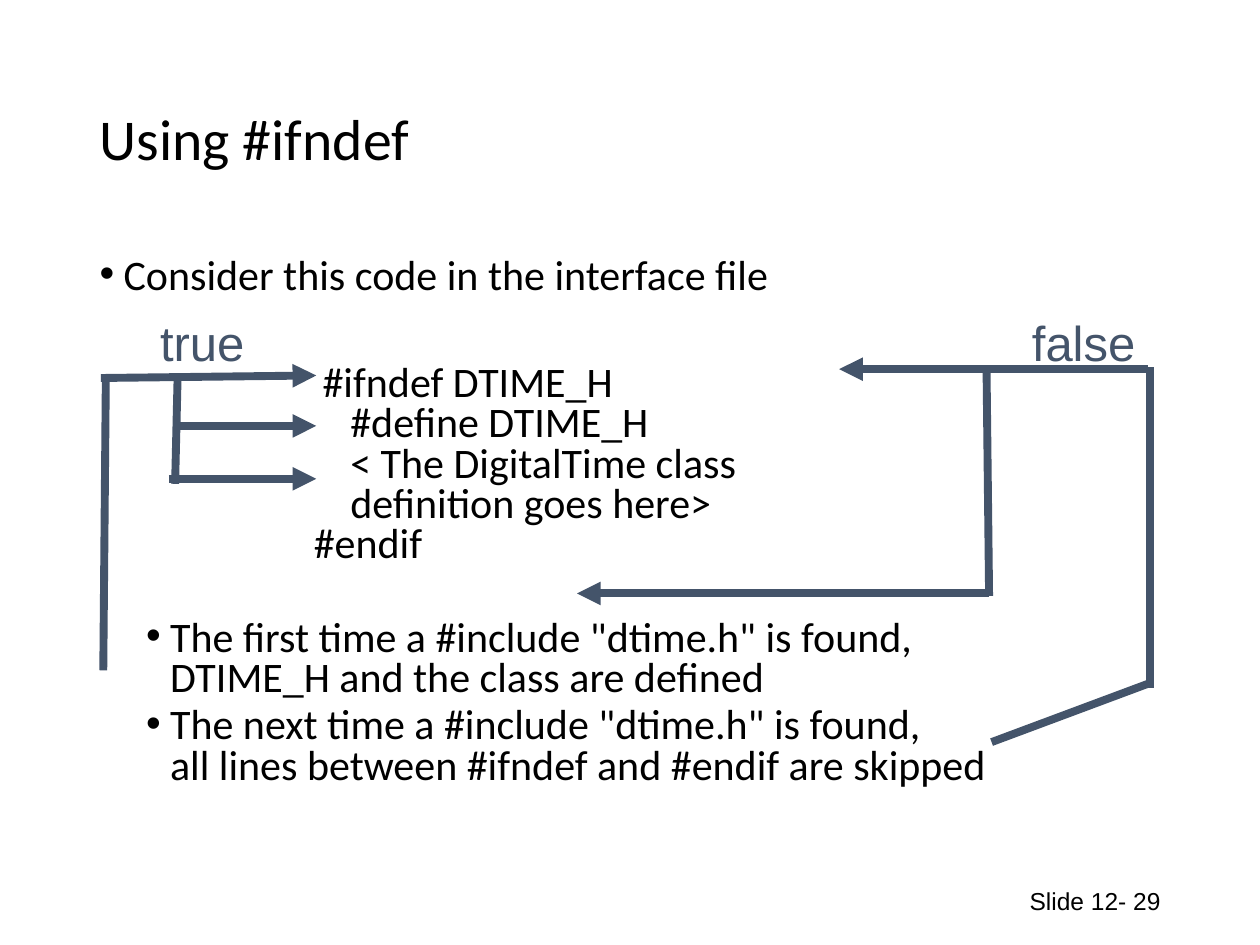
from typing import NamedTuple

from lxml.etree import SubElement
from pptx import Presentation
from pptx.dml.color import RGBColor
from pptx.enum.shapes import MSO_CONNECTOR
from pptx.enum.text import MSO_ANCHOR, MSO_AUTO_SIZE, PP_ALIGN
from pptx.oxml.ns import qn
from pptx.util import Inches, Pt

BLACK = RGBColor(0x00, 0x00, 0x00)
SLATE = RGBColor(0x44, 0x54, 0x6A)


class Box(NamedTuple):
    left: float
    top: float
    width: float
    height: float


class Line(NamedTuple):
    x1: float
    y1: float
    x2: float
    y2: float
    arrow: bool = False


class Item(NamedTuple):
    text: str
    indent: float
    before: float = 0
    bullet: bool = False
    level: int = 0


ITEMS = [
    Item("Consider this code in the interface file", 0.19, 7.5, True),
    Item("#ifndef DTIME_H", 1.77, 38),
    Item("#define DTIME_H", 1.99),
    Item("< The DigitalTime class", 1.99),
    Item("definition goes here>", 1.99),
    Item("#endif", 1.7),
    Item('The first time a #include "dtime.h" is found,\v'
         "DTIME_H and the class are defined", 0.56, 30.5, True, 1),
    Item('The next time a #include "dtime.h" is found,\v'
         "all lines between #ifndef and #endif are skipped", 0.56, 3.8, True, 1),
]
TRUE_LINES = [
    Line(0.82, 5.32, 0.84, 3.02),
    Line(0.8, 3, 2.51, 2.98, True),
    Line(1.41, 2.98, 1.39, 3.84),
    Line(1.39, 3.38, 2.51, 3.38, True),
    Line(1.34, 3.8, 2.51, 3.8, True),
]
FALSE_LINES = [
    Line(7.87, 5.89, 9.13, 5.42),
    Line(9.13, 5.46, 9.13, 2.91),
    Line(9.11, 2.93, 6.66, 2.93, True),
    Line(7.83, 2.95, 7.85, 4.73),
    Line(7.85, 4.71, 4.58, 4.71, True),
]


def place(shape, box: Box) -> None:
    shape.left, shape.top, shape.width, shape.height = map(Inches, box)


def style(para, face: str, size: float, color: RGBColor) -> None:
    for run in para.runs:
        run.font.name = face
        run.font.size = Pt(size)
        run.font.color.rgb = color


def add_item(para, item: Item) -> None:
    para.text = item.text
    para.level = item.level
    para.line_spacing = 0.8
    para.space_before = Pt(item.before)
    style(para, "Calibri", 24, BLACK)
    props = para._p.get_or_add_pPr()
    props.set("marL", str(Inches(item.indent)))
    props.set("indent", str(Inches(-0.19) if item.bullet else 0))
    if item.bullet:
        SubElement(props, qn("a:buFont"), typeface="Arial")
        SubElement(props, qn("a:buChar"), char="•")
    else:
        SubElement(props, qn("a:buNone"))


def add_line(shapes, line: Line) -> None:
    ends = map(Inches, line[:4])
    link = shapes.add_connector(MSO_CONNECTOR.STRAIGHT, *ends)
    link.line.color.rgb = SLATE
    link.line.width = Pt(4.5)
    if line.arrow:
        SubElement(link.line._get_or_add_ln(), qn("a:tailEnd"), type="triangle")
    SubElement(link._element.spPr, qn("a:effectLst"))


def add_label(shapes, text: str, box: Box, size: float, color: RGBColor,
              align: PP_ALIGN, anchor: MSO_ANCHOR, wrap: bool = True) -> None:
    frame = shapes.add_textbox(*map(Inches, box)).text_frame
    frame.word_wrap = wrap
    frame.vertical_anchor = anchor
    frame.text = text
    frame.paragraphs[0].alignment = align
    style(frame.paragraphs[0], "Arial", size, color)


def main() -> None:
    deck = Presentation()
    deck.slide_width, deck.slide_height = Inches(10), Inches(7.5)
    slide = deck.slides.add_slide(deck.slide_layouts[1])
    shapes = slide.shapes

    title = shapes.title
    place(title, Box(0.69, 0.4, 8.62, 1.45))
    title.text_frame.text = "Using #ifndef"
    title.text_frame.vertical_anchor = MSO_ANCHOR.MIDDLE
    title.text_frame.auto_size = MSO_AUTO_SIZE.NONE
    head = title.text_frame.paragraphs[0]
    head.alignment = PP_ALIGN.LEFT
    head.line_spacing = 0.9
    style(head, "Calibri", 33, BLACK)

    body = slide.placeholders[1]
    place(body, Box(0.69, 2, 8.62, 4.76))
    frame = body.text_frame
    frame.auto_size = MSO_AUTO_SIZE.NONE
    for index, item in enumerate(ITEMS):
        add_item(frame.add_paragraph() if index else frame.paragraphs[0], item)

    add_label(shapes, "true", Box(1.17, 2.43, 0.87, 0.57), 28, SLATE,
              PP_ALIGN.CENTER, MSO_ANCHOR.TOP)
    left = shapes.add_group_shape().shapes
    for line in TRUE_LINES:
        add_line(left, line)

    right = shapes.add_group_shape().shapes
    for line in FALSE_LINES:
        add_line(right, line)
    add_label(right, "false", Box(8.09, 2.43, 1.02, 0.57), 28, SLATE,
              PP_ALIGN.CENTER, MSO_ANCHOR.TOP, False)

    add_label(shapes, "Slide 12- 29", Box(7.06, 6.95, 2.25, 0.4), 14, BLACK,
              PP_ALIGN.RIGHT, MSO_ANCHOR.MIDDLE)
    deck.save("out.pptx")


if __name__ == "__main__":
    main()
